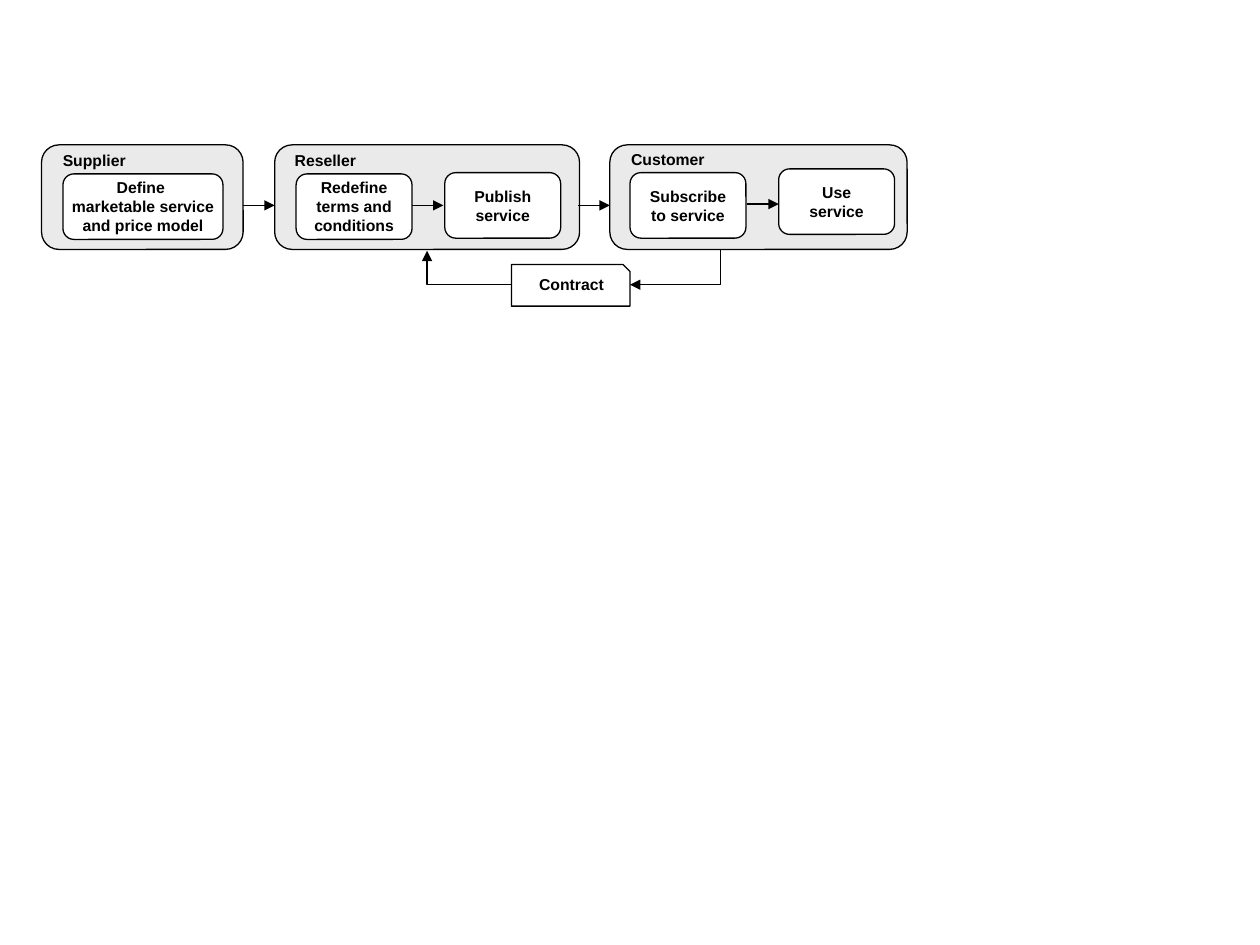
from dataclasses import dataclass
from typing import Optional

from lxml.etree import SubElement
from pptx import Presentation
from pptx.dml.color import RGBColor
from pptx.enum.shapes import MSO_CONNECTOR as CONN, MSO_SHAPE as SHAPE
from pptx.enum.text import MSO_ANCHOR, MSO_AUTO_SIZE, PP_ALIGN
from pptx.oxml.ns import qn
from pptx.util import Inches, Pt

COLS, ROWS = 100, 75
STAGE_TOP, STAGE_H = 11.5, 8.3
STEP_H, LABEL_H = 5.2, 2.5
FLOW_Y, CONTRACT_Y = 16.3, 22.6


@dataclass(frozen=True)
class Theme:
    ink: RGBColor = RGBColor(0, 0, 0)
    stage: RGBColor = RGBColor(0xEA, 0xEA, 0xEA)
    paper: RGBColor = RGBColor(0xFF, 0xFF, 0xFF)
    font: str = "Arial"
    size: Pt = Pt(9)
    line: Pt = Pt(0.75)


@dataclass(frozen=True)
class Box:
    col: float
    row: float
    width: float
    height: float


@dataclass(frozen=True)
class Step:
    text: str
    col: float
    row: float
    width: float = 9.2


@dataclass(frozen=True)
class Stage:
    name: str
    col: float
    width: float
    label: Box
    steps: tuple[Step, ...]


@dataclass(frozen=True)
class Arrow:
    start: tuple[float, float]
    end: tuple[float, float]
    bend: Optional[str] = None
    adjust: Optional[int] = None


THEME = Theme()
STAGES = (
    Stage("Supplier", 3.3, 16, Box(4, 11.5, 7, LABEL_H),
          (Step("Define \vmarketable service\nand price model", 5, 13.8, 12.7),)),
    Stage("Reseller", 21.8, 24.2, Box(22.4, 11.5, 6.9, LABEL_H),
          (Step("Redefine\nterms and\nconditions", 23.5, 13.8),
           Step("Publish\nservice", 35.3, 13.7))),
    Stage("Customer", 48.4, 23.6, Box(49.1, 11.4, 7.8, LABEL_H),
          (Step("Subscribe\nto service", 50, 13.7),
           Step("Use\nservice", 61.8, 13.4))),
)
CONTRACT = Box(40.6, 21, 9.4, 3.3)
CONTRACT_LABEL = Box(41.8, 21.3, 7.2, LABEL_H)
ARROWS = (
    Arrow((19.3, FLOW_Y), (21.8, FLOW_Y)),
    Arrow((32.7, FLOW_Y), (35.2, FLOW_Y)),
    Arrow((45.9, FLOW_Y), (48.4, FLOW_Y)),
    Arrow((59.3, 16.2), (61.8, 16.2)),
    Arrow((57.1, 19.8), (50, CONTRACT_Y), "bentConnector3", -1400),
    Arrow((40.6, CONTRACT_Y), (33.9, 19.9), "bentConnector2"),
)

prs = Presentation()
prs.slide_width, prs.slide_height = Inches(10), Inches(7.5)
s = prs.slides.add_slide(prs.slide_layouts[6])


def x(col: float) -> int:
    return round(prs.slide_width * col / COLS)


def y(row: float) -> int:
    return round(prs.slide_height * row / ROWS)


def place(box: Box) -> tuple[int, int, int, int]:
    return x(box.col), y(box.row), x(box.width), y(box.height)


def write(tf, text: str, align: PP_ALIGN) -> None:
    tf.word_wrap = False
    tf.text = text
    for p in tf.paragraphs:
        p.alignment = align
        p.font.name, p.font.size, p.font.bold = THEME.font, THEME.size, True
        p.font.color.rgb = THEME.ink


def draw_shape(kind: SHAPE, box: Box, fill: RGBColor, text: str = "") -> None:
    sp = s.shapes.add_shape(kind, *place(box))
    sp.shadow.inherit = False
    sp.fill.solid()
    sp.fill.fore_color.rgb = fill
    sp.line.color.rgb, sp.line.width = THEME.ink, THEME.line
    if text:
        sp.text_frame.vertical_anchor = MSO_ANCHOR.MIDDLE
        write(sp.text_frame, text, PP_ALIGN.CENTER)


def draw_label(text: str, box: Box) -> None:
    tf = s.shapes.add_textbox(*place(box)).text_frame
    write(tf, text, PP_ALIGN.LEFT)
    tf.auto_size = MSO_AUTO_SIZE.SHAPE_TO_FIT_TEXT


def draw_stage(stage: Stage) -> None:
    draw_shape(SHAPE.ROUNDED_RECTANGLE,
               Box(stage.col, STAGE_TOP, stage.width, STAGE_H), THEME.stage)
    draw_label(stage.name, stage.label)
    for step in stage.steps:
        draw_shape(SHAPE.ROUNDED_RECTANGLE,
                   Box(step.col, step.row, step.width, STEP_H),
                   THEME.paper, step.text)


def draw_arrow(arrow: Arrow) -> None:
    kind = CONN.ELBOW if arrow.bend else CONN.STRAIGHT
    (x1, y1), (x2, y2) = arrow.start, arrow.end
    cxn = s.shapes.add_connector(kind, x(x1), y(y1), x(x2), y(y2))
    cxn.line.color.rgb, cxn.line.width = THEME.ink, THEME.line
    sppr = cxn.element.spPr
    SubElement(sppr.find(qn("a:ln")), qn("a:tailEnd"), type="triangle")
    SubElement(sppr, qn("a:effectLst"))
    geom = sppr.find(qn("a:prstGeom"))
    if arrow.bend:
        geom.set("prst", arrow.bend)
    if arrow.adjust is not None:
        SubElement(geom.find(qn("a:avLst")), qn("a:gd"),
                   name="adj1", fmla=f"val {arrow.adjust}")


def main() -> None:
    for stage in STAGES:
        draw_stage(stage)
    draw_shape(SHAPE.SNIP_1_RECTANGLE, CONTRACT, THEME.paper)
    draw_label("Contract", CONTRACT_LABEL)
    for arrow in ARROWS:
        draw_arrow(arrow)
    prs.save("out.pptx")


if __name__ == "__main__":
    main()
